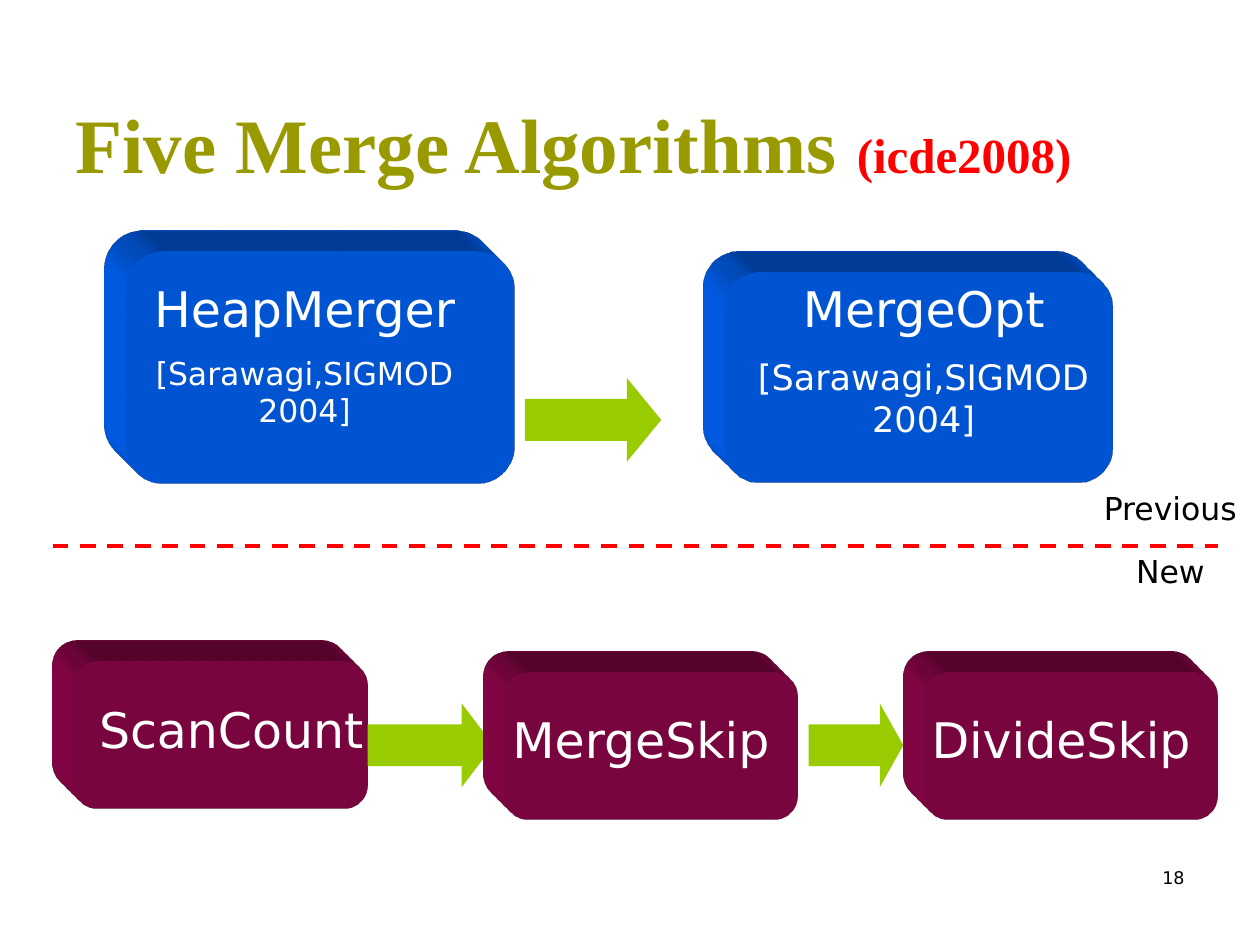
import dataclasses

import lxml.etree
import pptx
import pptx.dml.color
import pptx.enum.dml
import pptx.enum.shapes
import pptx.enum.text
import pptx.oxml
import pptx.oxml.ns
import pptx.util

Cm = pptx.util.Cm
Pt = pptx.util.Pt
RGBColor = pptx.dml.color.RGBColor
Shapes = pptx.enum.shapes.MSO_SHAPE
Align = pptx.enum.text.PP_ALIGN

OLIVE = RGBColor(0x99, 0x99, 0x00)
RED = RGBColor(0xFF, 0x00, 0x00)
BLUE = RGBColor(0x00, 0x66, 0xFF)
MAROON = RGBColor(0x93, 0x07, 0x4D)
GREEN = RGBColor(0x99, 0xCC, 0x00)
WHITE = RGBColor(0xFF, 0xFF, 0xFF)
BLACK = RGBColor(0x00, 0x00, 0x00)

BODY_FONT = "DejaVu Sans"
TITLE_FONT = "Times New Roman"
NAME_SIZE = 28


@dataclasses.dataclass(frozen=True)
class Box:
    """A rectangle in centimetres."""
    left: float
    top: float
    width: float
    height: float

    def lengths(self) -> tuple:
        return tuple(Cm(value) for value in dataclasses.astuple(self))


@dataclasses.dataclass(frozen=True)
class Algorithm:
    name: str
    card: Box
    label: Box
    color: RGBColor
    citation: str = ""
    citation_size: int = 18


@dataclasses.dataclass(frozen=True)
class Arrow:
    box: Box
    head: float


def new_algorithm(name: str, left: float, top: float, label_shift: float) -> Algorithm:
    card = Box(left, top, 5.92, 2.97)
    label = Box(left - label_shift, top + 0.63, 6.78, 1.45)
    return Algorithm(name, card, label, MAROON)


CITATION = "[Sarawagi,SIGMOD 2004]"
ALGORITHMS = [
    Algorithm("HeapMerger", Box(2.54, 5.08, 7.83, 4.66),
              Box(2.75, 5.5, 6.78, 10.57), BLUE, CITATION, 18),
    Algorithm("MergeOpt", Box(14.6, 5.5, 7.83, 4.23),
              Box(14.6, 5.5, 8.04, 3.58), BLUE, CITATION, 20),
    new_algorithm("ScanCount", 1.48, 13.34, 0.21),
    new_algorithm("MergeSkip", 10.16, 13.55, 0.63),
    new_algorithm("DivideSkip", 18.63, 13.55, 0.63),
]
# Each arrow is drawn after the card it leaves and before the one it points to.
ARROWS = {
    "HeapMerger": Arrow(Box(10.58, 7.62, 2.75, 1.69), 0.41),
    "ScanCount": Arrow(Box(7.41, 14.18, 2.54, 1.69), 0.38),
    "MergeSkip": Arrow(Box(16.3, 14.18, 1.91, 1.69), 0.28),
}


def add_run(paragraph, text: str, *, size: float, color: RGBColor,
            font: str = BODY_FONT, bold: bool = False) -> None:
    run = paragraph.add_run()
    run.text = text
    run.font.name = font
    run.font.size = Pt(size)
    run.font.bold = bold
    run.font.color.rgb = color


def add_text(slide, box: Box, lines: list, *, color: RGBColor, align=Align.CENTER) -> None:
    """Add a text box; lines holds (text, point size) pairs, one per paragraph."""
    frame = slide.shapes.add_textbox(*box.lengths()).text_frame
    frame.word_wrap = True
    for index, (text, size) in enumerate(lines):
        paragraph = frame.add_paragraph() if index else frame.paragraphs[0]
        paragraph.alignment = align
        if index:
            paragraph.space_before = Pt(size / 2)
        add_run(paragraph, text, size=size, color=color)


def add_filled_shape(slide, kind, box: Box, color: RGBColor):
    shape = slide.shapes.add_shape(kind, *box.lengths())
    shape.shadow.inherit = False
    shape.fill.solid()
    shape.fill.fore_color.rgb = color
    shape.line.fill.background()
    return shape


def extrude(shape, color: RGBColor) -> None:
    """Give the shape depth towards the top left."""
    namespace = pptx.oxml.ns.nsdecls("a")
    scene = (f'<a:scene3d {namespace}><a:camera prst="legacyObliqueTopLeft"/>'
             '<a:lightRig rig="legacyFlat3" dir="b"/></a:scene3d>')
    solid = (f'<a:sp3d {namespace} extrusionH="430200" prstMaterial="legacyMatte">'
             '<a:bevelT w="13500" h="13500" prst="angle"/>'
             '<a:bevelB w="13500" h="13500" prst="angle"/>'
             f'<a:extrusionClr><a:srgbClr val="{color}"/></a:extrusionClr></a:sp3d>')
    for xml in (scene, solid):
        shape._element.spPr.append(pptx.oxml.parse_xml(xml))


def add_algorithm(slide, algorithm: Algorithm) -> None:
    card = add_filled_shape(slide, Shapes.FLOWCHART_ALTERNATE_PROCESS,
                            algorithm.card, algorithm.color)
    extrude(card, algorithm.color)
    lines = [(algorithm.name, NAME_SIZE)]
    if algorithm.citation:
        lines.append((algorithm.citation, algorithm.citation_size))
    add_text(slide, algorithm.label, lines, color=WHITE)


def add_arrow(slide, arrow: Arrow) -> None:
    shape = add_filled_shape(slide, Shapes.RIGHT_ARROW, arrow.box, GREEN)
    shape.adjustments[0] = 0.5
    shape.adjustments[1] = arrow.head


def add_divider(slide) -> None:
    divider = slide.shapes.add_connector(
        pptx.enum.shapes.MSO_CONNECTOR.STRAIGHT, Cm(1.06), Cm(11), Cm(24.56), Cm(11))
    divider.line.color.rgb = RED
    divider.line.width = Pt(2.25)
    divider.line.dash_style = pptx.enum.dml.MSO_LINE.DASH
    lxml.etree.SubElement(divider._element.spPr, pptx.oxml.ns.qn("a:effectLst"))


def set_title(slide) -> None:
    title = slide.shapes.title
    title.left, title.top, title.width, title.height = Box(1.27, 0.76, 22.86, 3.18).lengths()
    frame = title.text_frame
    frame.auto_size = pptx.enum.text.MSO_AUTO_SIZE.NONE
    frame.vertical_anchor = pptx.enum.text.MSO_ANCHOR.BOTTOM
    paragraph = frame.paragraphs[0]
    paragraph.alignment = Align.LEFT
    add_run(paragraph, "Five Merge Algorithms ", size=44, color=OLIVE,
            font=TITLE_FONT, bold=True)
    add_run(paragraph, "(icde2008)", size=28, color=RED, font=TITLE_FONT, bold=True)


def main() -> None:
    presentation = pptx.Presentation()
    presentation.slide_width = Cm(25.4)
    presentation.slide_height = Cm(19.05)
    slide = presentation.slides.add_slide(presentation.slide_layouts.get_by_name("Title Only"))

    set_title(slide)
    for algorithm in ALGORITHMS:
        add_algorithm(slide, algorithm)
        if algorithm.name in ARROWS:
            add_arrow(slide, ARROWS[algorithm.name])
    add_divider(slide)
    for text, top in (("Previous", 9.73), ("New", 11)):
        add_text(slide, Box(21.79, top, 3.61, 1.02), [(text, 18)], color=BLACK)
    add_text(slide, Box(18.21, 17.35, 5.92, 1.27), [("18", 10)], color=BLACK, align=Align.RIGHT)

    presentation.save("out.pptx")


if __name__ == "__main__":
    main()
